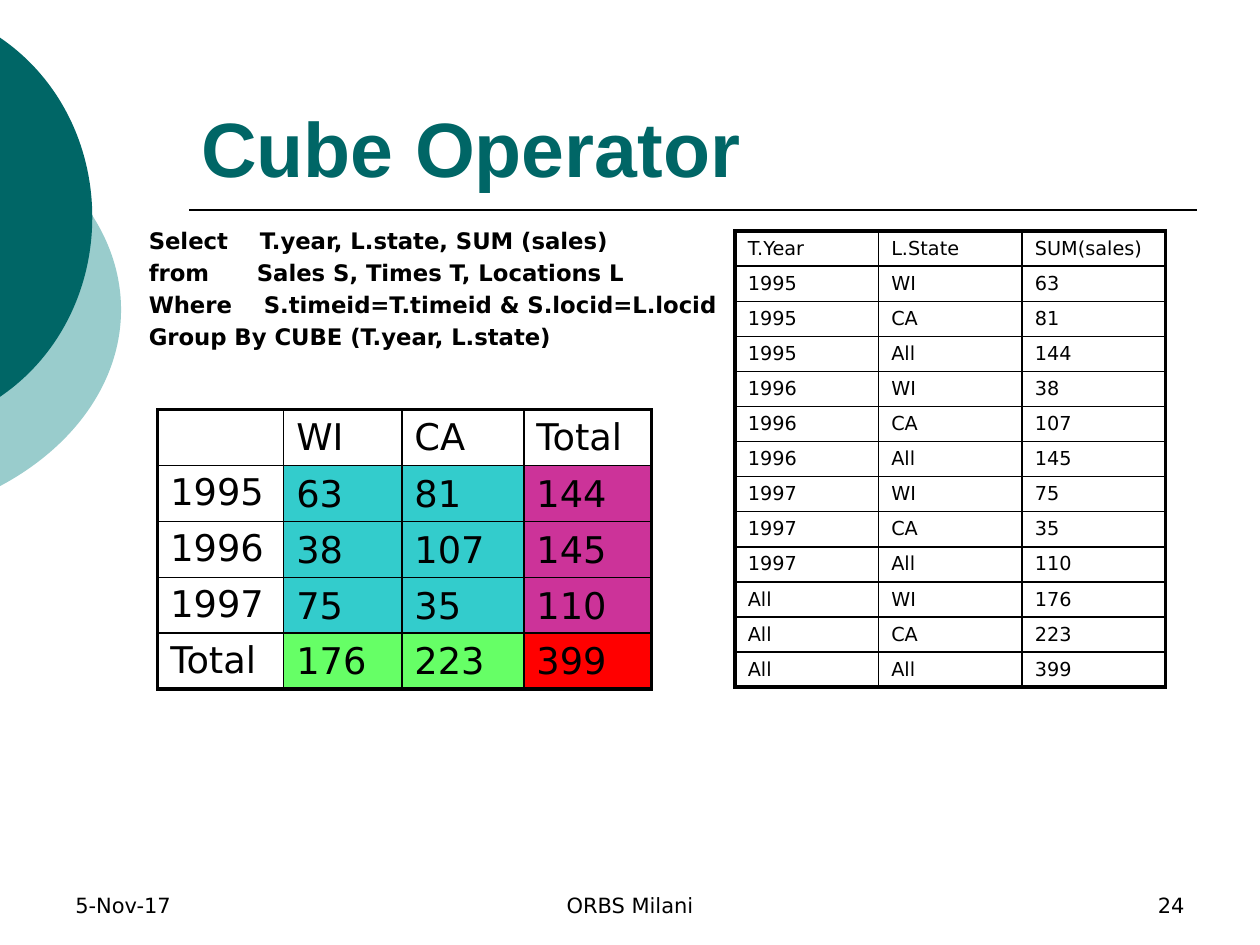
from lxml.etree import SubElement as Sub
from pptx import Presentation
from pptx.dml.color import RGBColor
from pptx.enum.shapes import MSO_CONNECTOR as Conn
from pptx.enum.text import MSO_ANCHOR as Anchor, PP_ALIGN as Align
from pptx.oxml.ns import qn
from pptx.util import Cm, Pt

BLACK = RGBColor(0, 0, 0)
TEAL = RGBColor(0, 0x66, 0x66)
PALE = RGBColor(0x99, 0xCC, 0xCC)
AQUA = RGBColor(0x33, 0xCC, 0xCC)
PLUM = RGBColor(0xCC, 0x33, 0x99)
LIME = RGBColor(0x66, 0xFF, 0x66)
RED = RGBColor(0xFF, 0, 0)

TITLE = {"name": "Arial", "size": Pt(44), "bold": True}
QUERY = {"name": "DejaVu Sans", "size": Pt(13), "bold": True}
FOOT = {"name": "DejaVu Sans", "size": Pt(12)}
CROSS = {"name": "DejaVu Sans", "size": Pt(21)}
LIST = {"name": "DejaVu Sans", "size": Pt(11)}

YEARS = ["1995", "1996", "1997", "All"]
STATES = ["WI", "CA", "All"]
SALES = [[63, 81, 144], [38, 107, 145], [75, 35, 110], [176, 223, 399]]


def style(font, form, color=BLACK):
    """Apply a dict of format values and a colour to a font."""
    for key, value in form.items():
        setattr(font, key, value)
    font.color.rgb = color


def write(slide, box, lines, form, color=BLACK, align=Align.LEFT,
          anchor=Anchor.BOTTOM, tabs=()):
    """Place a text box with one paragraph per line."""
    frame = slide.shapes.add_textbox(*map(Cm, box)).text_frame
    frame.word_wrap = True
    frame.vertical_anchor = anchor
    for num, line in enumerate(lines):
        para = frame.paragraphs[0] if num == 0 else frame.add_paragraph()
        para.alignment = align
        para.space_before = Pt(2.6 if num else 0)
        run = para.add_run()
        run.text = line
        style(run.font, form, color)
        if num < len(tabs):
            stops = Sub(para._p.get_or_add_pPr(), qn("a:tabLst"))
            Sub(stops, qn("a:tab"), pos=str(Cm(tabs[num])), algn="l")


def disc(slide, box, top, high, bend, color):
    """Draw the part of a disc right of the slide edge as two mirrored curves."""
    left, head, wide, tall = box
    start, right, end = -left, wide, top + high
    mid, (dx, dy) = top + high / 2, bend
    build = slide.shapes.build_freeform(Cm(0), Cm(0))
    build.add_line_segments([(Cm(wide), Cm(tall))], close=True)
    shape = build.convert_to_shape(Cm(left), Cm(head))
    curve = shape._element.spPr.find(".//" + qn("a:path"))
    for part in list(curve):
        curve.remove(part)
    steps = [("moveTo", [(start, top)]),
             ("cubicBezTo", [(start + dx, top + dy),
                             (right, mid - high * 0.2), (right, mid)]),
             ("cubicBezTo", [(right, mid + high * 0.2),
                             (start + dx, end - dy), (start, end)]),
             ("close", [])]
    for name, dots in steps:
        step = Sub(curve, qn(f"a:{name}"))
        for x, y in dots:
            Sub(step, qn("a:pt"), x=str(Cm(x)), y=str(Cm(y)))
    shape.shadow.inherit = False
    shape.fill.solid()
    shape.fill.fore_color.rgb = color
    shape.line.fill.background()


def decor(slide):
    """Draw the two discs and the rule below the title."""
    disc(slide, (-8.99, 1.9, 11.43, 8.69), 0.79, 7.11, (1.52, 0.81), PALE)
    disc(slide, (-6.73, 0, 8.59, 8.76), 0.76, 7.24, (1.19, 0.81), TEAL)
    rule = slide.shapes.add_connector(
        Conn.STRAIGHT, *map(Cm, (3.81, 4.24, 24.13, 4.24)))
    rule.line.color.rgb = BLACK
    rule.line.width = Pt(1)
    Sub(rule._element.spPr, qn("a:effectLst"))


def edge(cell, sides):
    """Give a cell black borders of the widths for each side."""
    props = cell._tc.get_or_add_tcPr()
    for side, width in sides.items():
        line = Sub(props, qn(f"a:ln{side}"), w=str(Pt(width)))
        Sub(Sub(line, qn("a:solidFill")), qn("a:srgbClr"), val=str(BLACK))


def grid(slide, box, cols, rows, form, tint):
    """Place a table with a thick frame and thin inner lines."""
    last, end = len(rows) - 1, len(cols) - 1
    table = slide.shapes.add_table(last + 1, end + 1, *map(Cm, box)).table
    table.first_row = table.horz_banding = False
    for col, wide in zip(table.columns, cols):
        col.width = Cm(wide)
    for r, row in enumerate(rows):
        for c, text in enumerate(row):
            cell = table.cell(r, c)
            cell.margin_bottom = Cm(0.08)
            rims = {"L": c == 0, "R": c == end, "T": r == 0, "B": r == last}
            edge(cell, {s: 2.25 if rim else 1 for s, rim in rims.items()})
            color = tint(r, c)
            if color is None:
                cell.fill.background()
            else:
                cell.fill.solid()
                cell.fill.fore_color.rgb = color
                cell.vertical_anchor = Anchor.MIDDLE
            para = cell.text_frame.paragraphs[0]
            if text:
                run = para.add_run()
                run.text = str(text)
                style(run.font, form)
            else:
                style(para.font, form)


def cross(slide, box):
    """Place the cross table of sales with its totals."""
    def tint(r, c):
        """Choose the fill by kind of total."""
        if r == 0 or c == 0:
            return None
        if r == 4:
            return RED if c == 3 else LIME
        return PLUM if c == 3 else AQUA

    names = [name.replace("All", "Total") for name in YEARS]
    rows = [["", "WI", "CA", "Total"]]
    rows += [[name, *nums] for name, nums in zip(names, SALES)]
    grid(slide, box, [2.54, 2.38, 2.46, 2.57], rows, CROSS, tint)


def result(slide, box):
    """Place the list of rows that the query returns."""
    rows = [["T.Year", "L.State", "SUM(sales)"]]
    rows += [[year, state, num] for year, nums in zip(YEARS, SALES)
             for state, num in zip(STATES, nums)]
    grid(slide, box, [box[2] / 3] * 3, rows, LIST, lambda r, c: None)


def query(slide, box):
    """Place the query text."""
    lines = ["Select\tT.year, L.state, SUM (sales)",
             "from\tSales S, Times T, Locations L",
             "Where\tS.timeid=T.timeid & S.locid=L.locid",
             "Group By CUBE (T.year, L.state)"]
    write(slide, box, lines, QUERY, anchor=Anchor.TOP, tabs=(2.24, 2.18, 2.32))


def footer(slide, box):
    """Place date, school and page number along the bottom."""
    left, top, wide, high = box
    side, mid = 5.92, 8.05
    parts = [("5-Nov-17", 0, side, Align.LEFT),
             ("ORBS Milani", (wide - mid) / 2, mid, Align.CENTER),
             ("24", wide - side, side, Align.RIGHT)]
    for text, x, w, align in parts:
        write(slide, (left + x, top, w, high), [text], FOOT, align=align)


def main():
    """Build and save the slide."""
    deck = Presentation()
    deck.slide_width, deck.slide_height = Cm(25.4), Cm(19.05)
    slide = deck.slides.add_slide(deck.slide_layouts[6])
    decor(slide)
    footer(slide, (1.27, 17.35, 22.86, 1.27))
    write(slide, (3.81, 0.84, 20.32, 3.18), ["Cube Operator"], TITLE, TEAL)
    query(slide, (2.75, 4.45, 12.7, 4.04))
    cross(slide, (3.18, 8.26, 9.95, 5.63))
    result(slide, (14.82, 4.66, 8.68, 9.2))
    deck.save("out.pptx")


if __name__ == "__main__":
    main()
